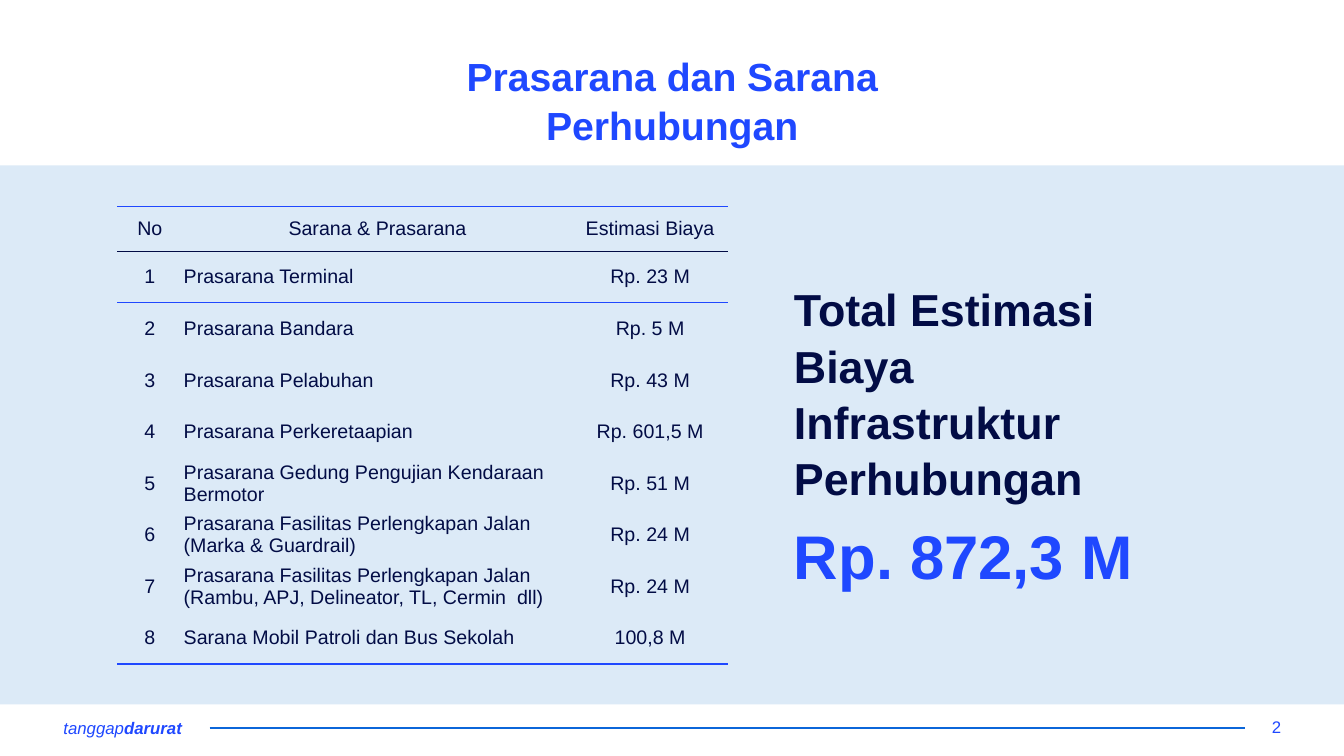
from lxml import etree
from pptx import Presentation
from pptx.dml.color import RGBColor
from pptx.enum import shapes, text
from pptx.oxml import ns
from pptx.util import Cm, Pt

BLUE = RGBColor(0x1F, 0x48, 0xFF)
NAVY = RGBColor(0x02, 0x0C, 0x45)
PALE = RGBColor(0xDC, 0xEA, 0xF7)
RULE = RGBColor(0x0B, 0x66, 0xD9)
LEFT, MID = text.PP_ALIGN.LEFT, text.PP_ALIGN.CENTER
NO_STYLE = "{2D5ABB26-0587-4C30-8999-92F81FD0307C}"


def style(frame, size, color, align=LEFT, bold=False, space=None):
    frame.word_wrap = True
    for para in frame.paragraphs:
        para.alignment = align
        para.line_spacing = space
        for run in para.runs:
            font = run.font
            font.name, font.size, font.bold = "Arial", Pt(size), bold
            font.color.rgb = color


def border(cell, tag, color, width):
    line = etree.Element(ns.qn("a:" + tag), w=str(Pt(width)))
    fill = etree.SubElement(line, ns.qn("a:solidFill"))
    etree.SubElement(fill, ns.qn("a:srgbClr"), val=str(color))
    cell._tc.get_or_add_tcPr().insert(0, line)


prs = Presentation()
prs.slide_width, prs.slide_height = Cm(33.87), Cm(19.05)
slide = prs.slides.add_slide(prs.slide_layouts[5])
items = slide.shapes

# Title
title = items.title
title.left, title.top = Cm(9.45), Cm(1.12)
title.width, title.height = Cm(14.98), Cm(2.64)
title.text_frame.text = "Prasarana dan Sarana Perhubungan"
title.text_frame.vertical_anchor = text.MSO_ANCHOR.TOP
style(title.text_frame, 28, BLUE, MID, True, 1.05)

# Pale band
band = items.add_shape(shapes.MSO_SHAPE.RECTANGLE, 0, Cm(4.17), prs.slide_width, Cm(13.58))
band.shadow.inherit = False
band.fill.solid()
band.fill.fore_color.rgb = PALE
band.line.fill.background()

# Footer
brand = items.add_textbox(Cm(1.35), Cm(17.96), Cm(3.96), Cm(0.77)).text_frame
brand.text = "tanggap"
brand.paragraphs[0].add_run().text = "darurat"
style(brand, 12, BLUE)
for run in brand.paragraphs[0].runs:
    run.font.italic = True
brand.paragraphs[0].runs[1].font.bold = True

page = items.add_textbox(Cm(31.65), Cm(17.81), Cm(1.04), Cm(1.02)).text_frame
page.text = "2"
page.vertical_anchor = text.MSO_ANCHOR.MIDDLE
style(page, 12, BLUE, MID)

rule = items.add_connector(shapes.MSO_CONNECTOR.STRAIGHT, Cm(5.28), Cm(18.34), Cm(31.37), Cm(18.34))
rule.line.color.rgb = RULE
rule.line.width = Pt(1)
etree.SubElement(rule._element.spPr, ns.qn("a:effectLst"))

# Total
label = items.add_textbox(Cm(19.76), Cm(6.91), Cm(9.32), Cm(5.74)).text_frame
label.text = "Total Estimasi Biaya Infrastruktur Perhubungan"
style(label, 32, NAVY, bold=True, space=1.05)

total = items.add_textbox(Cm(19.76), Cm(12.83), Cm(9.83), Cm(2.13)).text_frame
total.text = "Rp. 872,3 M"
style(total, 44, BLUE, bold=True, space=1.05)

# Cost table
rows = [
    ("No", "Sarana & Prasarana", "Estimasi Biaya"),
    ("1", "Prasarana Terminal", "Rp. 23 M"),
    ("2", "Prasarana Bandara", "Rp. 5 M"),
    ("3", "Prasarana Pelabuhan", "Rp. 43 M"),
    ("4", "Prasarana Perkeretaapian", "Rp. 601,5 M"),
    ("5", "Prasarana Gedung Pengujian Kendaraan Bermotor", "Rp. 51 M"),
    ("6", "Prasarana Fasilitas Perlengkapan Jalan (Marka & Guardrail)", "Rp. 24 M"),
    ("7", "Prasarana Fasilitas Perlengkapan Jalan\n"
          "(Rambu, APJ, Delineator, TL, Cermin  dll)", "Rp. 24 M"),
    ("8", "Sarana Mobil Patroli dan Bus Sekolah", "100,8 M"),
]
rules = {0: (NAVY, 0.5), 1: (BLUE, 1), len(rows) - 1: (BLUE, 1)}
grid = items.add_table(len(rows), 3, Cm(2.95), Cm(5.21), Cm(15.39), Cm(11.48)).table
grid.first_row = grid.horz_banding = False
grid._tbl.tblPr.find(ns.qn("a:tableStyleId")).text = NO_STYLE
for col, width in zip(grid.columns, (1.65, 9.83, 3.91)):
    col.width = Cm(width)

for r, row in enumerate(rows):
    grid.rows[r].height = Cm(1.3 if r else 1.12)
    for c, words in enumerate(row):
        cell = grid.cell(r, c)
        cell.text = words
        cell.vertical_anchor = text.MSO_ANCHOR.MIDDLE
        cell.margin_left = cell.margin_right = Cm(0.03 if r else 0.18)
        cell.margin_top = cell.margin_bottom = Cm(0.02 if r else 0.1)
        cell.fill.background()
        style(cell.text_frame, 14, NAVY, LEFT if r and c == 1 else MID)
        if r in rules:
            border(cell, "lnB", *rules[r])
        if r == 0:
            border(cell, "lnT", BLUE, 1)

prs.save("out.pptx")
